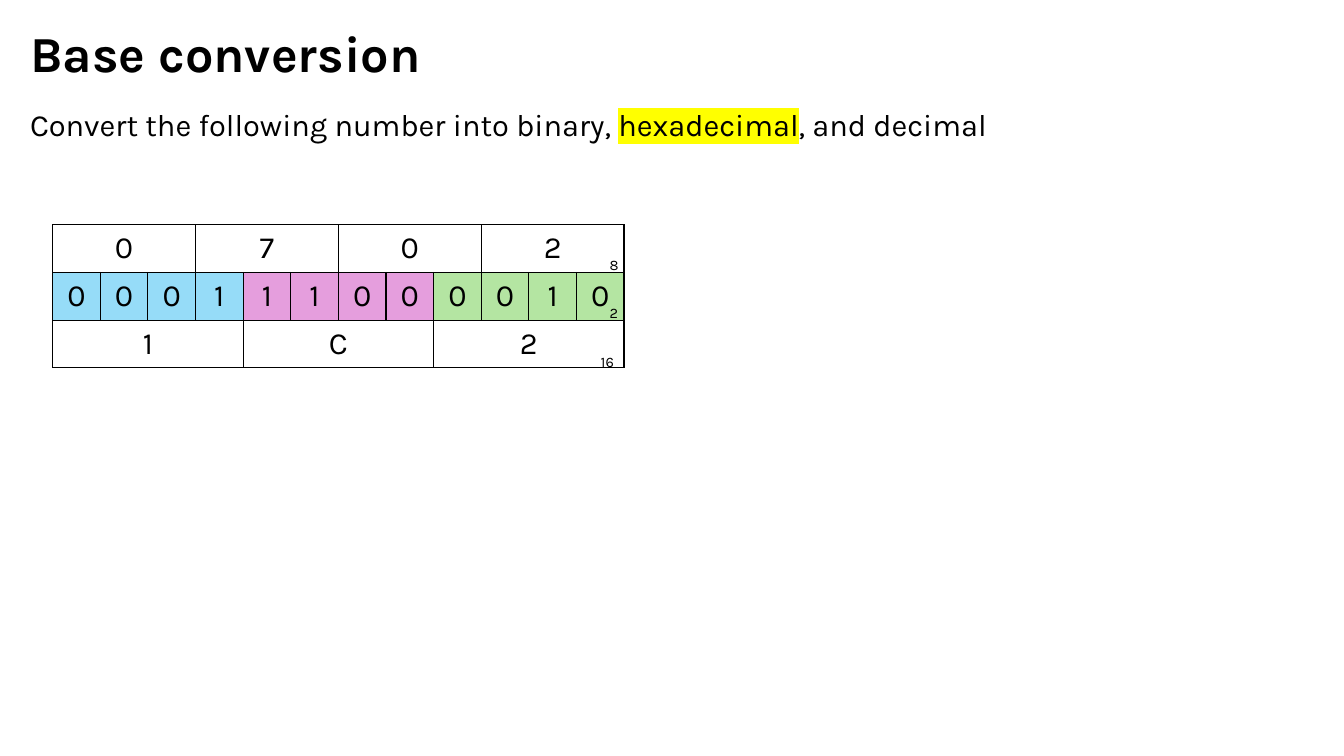
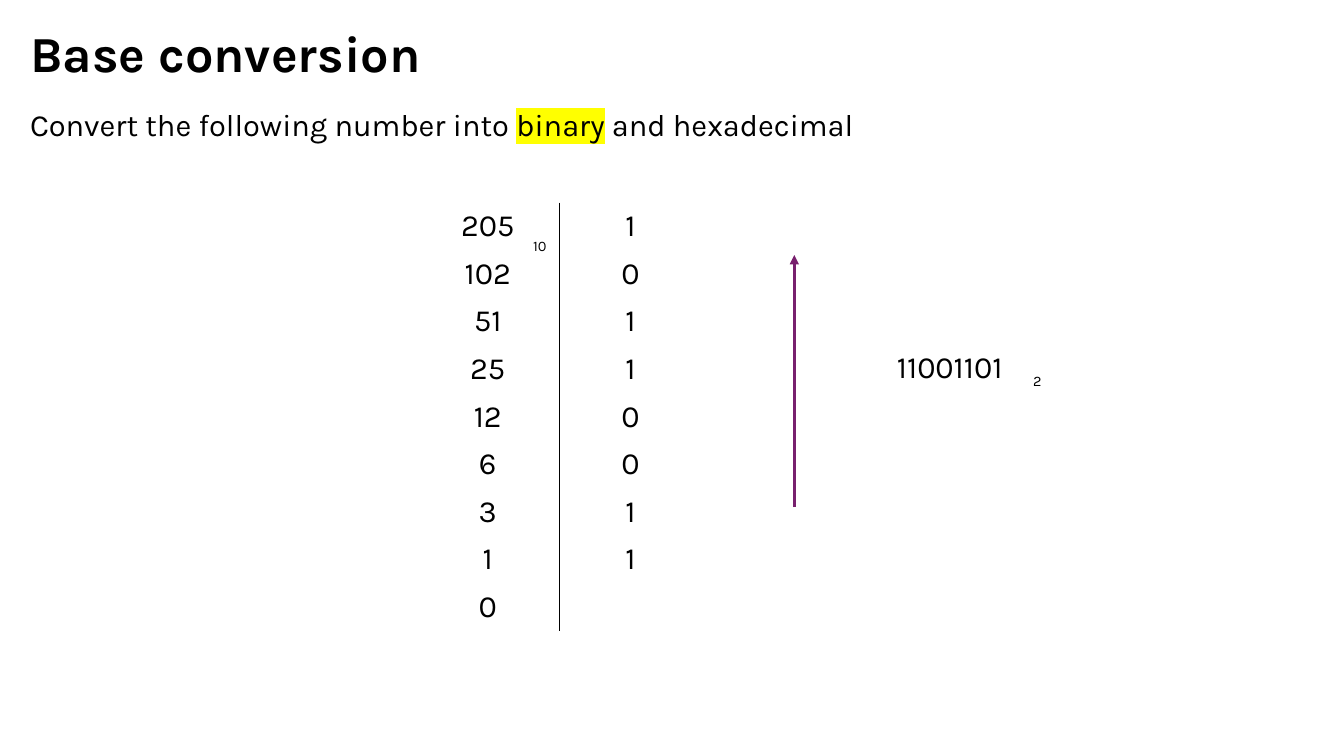
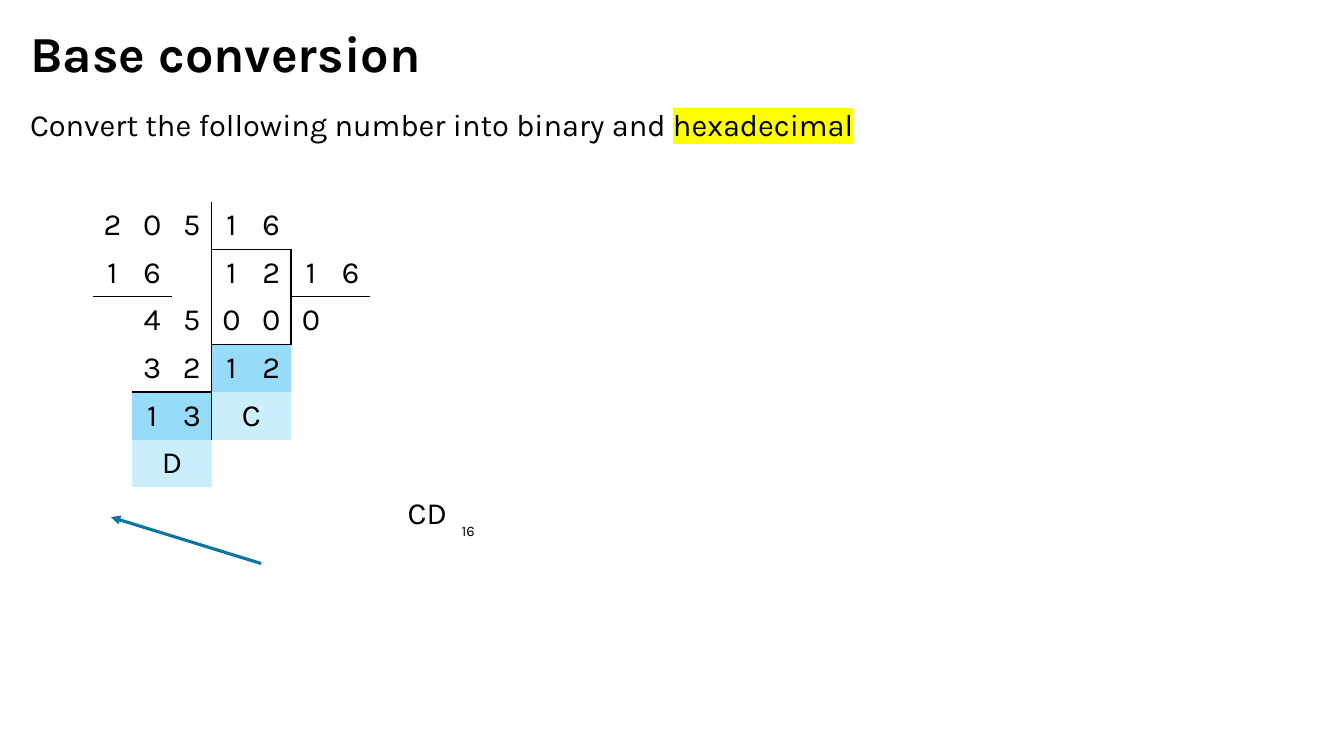
from lxml import etree
from pptx import Presentation
from pptx.dml.color import RGBColor
from pptx.enum.shapes import MSO_CONNECTOR
from pptx.enum.text import MSO_ANCHOR, MSO_AUTO_SIZE, PP_ALIGN
from pptx.oxml.ns import qn
from pptx.util import Pt

STRAIGHT = MSO_CONNECTOR.STRAIGHT
MIDDLE, TOP = MSO_ANCHOR.MIDDLE, MSO_ANCHOR.TOP
GROW = MSO_AUTO_SIZE.SHAPE_TO_FIT_TEXT
LEFT, CENTER = PP_ALIGN.LEFT, PP_ALIGN.CENTER

COLOURS = {
    "ink": "000000",
    "mark": "FFFF00",
    "blue": "96DCF8",
    "pale blue": "CAEEFB",
    "pink": "E59EDD",
    "green": "B4E5A2",
    "purple": "78206E",
    "teal": "0B76A0",
}
FONT = "Karla"
TITLE_SIZE, BODY_SIZE, BASE_SIZE = 36, 22, 18
ROW = 34.02
BLANK = "."


def rgb(name):
    return RGBColor.from_string(COLOURS[name])


class Deck:
    """Holds the shared style and the slide being built."""

    def __init__(self):
        self.prs = Presentation()
        self.prs.slide_width, self.prs.slide_height = Pt(960), Pt(540)
        self.slide = None

    def start(self, prompt):
        """Add a slide with its title and a prompt of (text, marked) runs."""
        self.slide = self.prs.slides.add_slide(self.prs.slide_layouts[5])
        title = self.slide.shapes.title
        title.left, title.top, title.width, title.height = map(Pt, (14.4, 12.3, 931, 51))
        self.frame(title.text_frame)
        self.run(title.text_frame.paragraphs[0], "Base conversion", TITLE_SIZE, bold=True)
        self.text(14.4, 72, 922, prompt, ROW)

    def frame(self, frame):
        frame.word_wrap = True
        frame.auto_size = GROW
        frame.vertical_anchor = TOP
        frame.paragraphs[0].alignment = LEFT

    def run(self, paragraph, text, size=BODY_SIZE, bold=False, marked=False):
        run = paragraph.add_run()
        run.text = text
        font = run.font
        font.size, font.bold, font.name = Pt(size), bold, FONT
        font.color.rgb = rgb("ink")
        if marked:
            highlight = etree.Element(qn("a:highlight"))
            etree.SubElement(highlight, qn("a:srgbClr"), val=COLOURS["mark"])
            run._r.rPr.find(qn("a:solidFill")).addnext(highlight)
        return run

    def text(self, x, y, width, parts, height, size=BODY_SIZE):
        box = self.slide.shapes.add_textbox(Pt(x), Pt(y), Pt(width), Pt(height))
        self.frame(box.text_frame)
        paragraph = box.text_frame.paragraphs[0]
        return [self.run(paragraph, text, size, marked=marked) for text, marked in parts]

    def base(self, x, y, number, width=486):
        """Write the base of a number as a subscript."""
        for run in self.text(x, y, width, [(number, False)], 29, BASE_SIZE):
            run._r.rPr.set("baseline", "-25000")

    def arrow(self, start, end, colour):
        line = self.slide.shapes.add_connector(STRAIGHT, *map(Pt, start + end))
        line.line.color.rgb = rgb(colour)
        line.line.width = Pt(2.25)
        properties = line._element.spPr
        etree.SubElement(properties.find(qn("a:ln")), qn("a:tailEnd"), type="triangle")
        etree.SubElement(properties, qn("a:effectLst"))

    def table(self, x, y, column, rows, verticals=(), horizontals=(), merges=(), fills=()):
        """Rules are (grid line, from, to); merges and fills are (row, column, count, ...)."""
        count = len(rows[0])
        grid = self.slide.shapes.add_table(
            len(rows), count, Pt(x), Pt(y), Pt(column * count), Pt(ROW * len(rows))).table
        grid.first_row = grid.horz_banding = False
        for part in grid.columns:
            part.width = Pt(column)
        for part in grid.rows:
            part.height = Pt(ROW)
        spans = {(r, c): (c, c + 1) for r in range(len(rows)) for c in range(count)}
        for r, first, size in merges:
            grid.cell(r, first).merge(grid.cell(r, first + size - 1))
            for c in range(first, first + size):
                spans[r, c] = (first, first + size)
        tints = {(r, c): tint for r, first, size, tint in fills
                 for c in range(first, first + size)}

        def ruled(rules, line, at):
            return any(line == rule and a <= at < b for rule, a, b in rules)

        for (r, c), (left, right) in spans.items():
            cell = grid.cell(r, c)
            cell.vertical_anchor = MIDDLE
            cell.margin_left = cell.margin_right = 0
            if (r, c) in tints:
                cell.fill.solid()
                cell.fill.fore_color.rgb = rgb(tints[r, c])
            else:
                cell.fill.background()
            self.borders(cell, {
                "a:lnL": ruled(verticals, left, r),
                "a:lnR": ruled(verticals, right, r),
                "a:lnT": ruled(horizontals, r, c),
                "a:lnB": ruled(horizontals, r + 1, c),
            })
            if rows[r][c] != BLANK:
                paragraph = cell.text_frame.paragraphs[0]
                paragraph.alignment = CENTER
                self.run(paragraph, rows[r][c])

    def borders(self, cell, sides):
        for place, (tag, drawn) in enumerate(sides.items()):
            line = etree.Element(qn(tag), w=str(Pt(1)))
            if drawn:
                fill = etree.SubElement(line, qn("a:solidFill"))
                etree.SubElement(fill, qn("a:srgbClr"), val=COLOURS["ink"])
            else:
                etree.SubElement(line, qn("a:noFill"))
            cell._tc.get_or_add_tcPr().insert(place, line)


def octal_to_hexadecimal(deck):
    deck.start([("Convert the following number into binary, ", False),
                ("hexadecimal", True), (", and decimal", False)])
    deck.table(
        37.6, 160.6, ROW, ["0..7..0..2..", "000111000010", "1...C...2..."],
        verticals=[(c, 0, 3) for c in range(13)],
        horizontals=[(r, 0, 12) for r in range(4)],
        merges=[(0, c, 3) for c in range(0, 12, 3)] + [(2, c, 4) for c in range(0, 12, 4)],
        fills=[(1, 4 * i, 4, tint) for i, tint in enumerate(("blue", "pink", "green"))])
    deck.base(428.4, 167, "8", 480)
    deck.base(428.4, 201.6, "2", 480)
    deck.base(422, 236.2, "16")


def decimal_to_binary(deck):
    deck.start([("Convert the following number into ", False),
                ("binary", True), (" and hexadecimal", False)])
    # Repeated halving: quotient and remainder
    quotients = [205 >> step for step in range(9)]
    halving = [(str(q), str(q % 2) if q else BLANK) for q in quotients]
    deck.table(297.4, 144.7, 102, halving, verticals=[(1, 0, len(halving))])
    deck.base(373.7, 153.4, "10")
    # Remainders read upwards
    deck.arrow((567.4, 362.2), (567.4, 182.2), "purple")
    deck.text(633.6, 244.8, 220, [("11001101", False)], ROW)
    deck.base(730.8, 249.8, "2", 220)


def decimal_to_hexadecimal(deck):
    deck.start([("Convert the following number into binary and ", False),
                ("hexadecimal", True)])
    # Long division by 16
    deck.table(
        66.2, 144, 28.35,
        ["20516..", "16.1216", ".45000.", ".3212..", ".13C...", ".D....."],
        verticals=[(3, 0, 5), (5, 1, 3)],
        horizontals=[(1, 3, 5), (2, 0, 2), (2, 5, 7), (3, 3, 5), (4, 1, 3)],
        merges=[(4, 3, 2), (5, 1, 2)],
        fills=[(3, 3, 2, "blue"), (4, 1, 2, "blue"),
               (4, 3, 2, "pale blue"), (5, 1, 2, "pale blue")])
    # Remainders read from the last one back
    deck.arrow((186.5, 402.5), (79.2, 369.4), "teal")
    deck.table(254.2, 350, 102, [("CD", BLANK)])
    deck.base(322.6, 357.1, "16")


def main():
    deck = Deck()
    octal_to_hexadecimal(deck)
    decimal_to_binary(deck)
    decimal_to_hexadecimal(deck)
    deck.prs.save("out.pptx")


if __name__ == "__main__":
    main()
